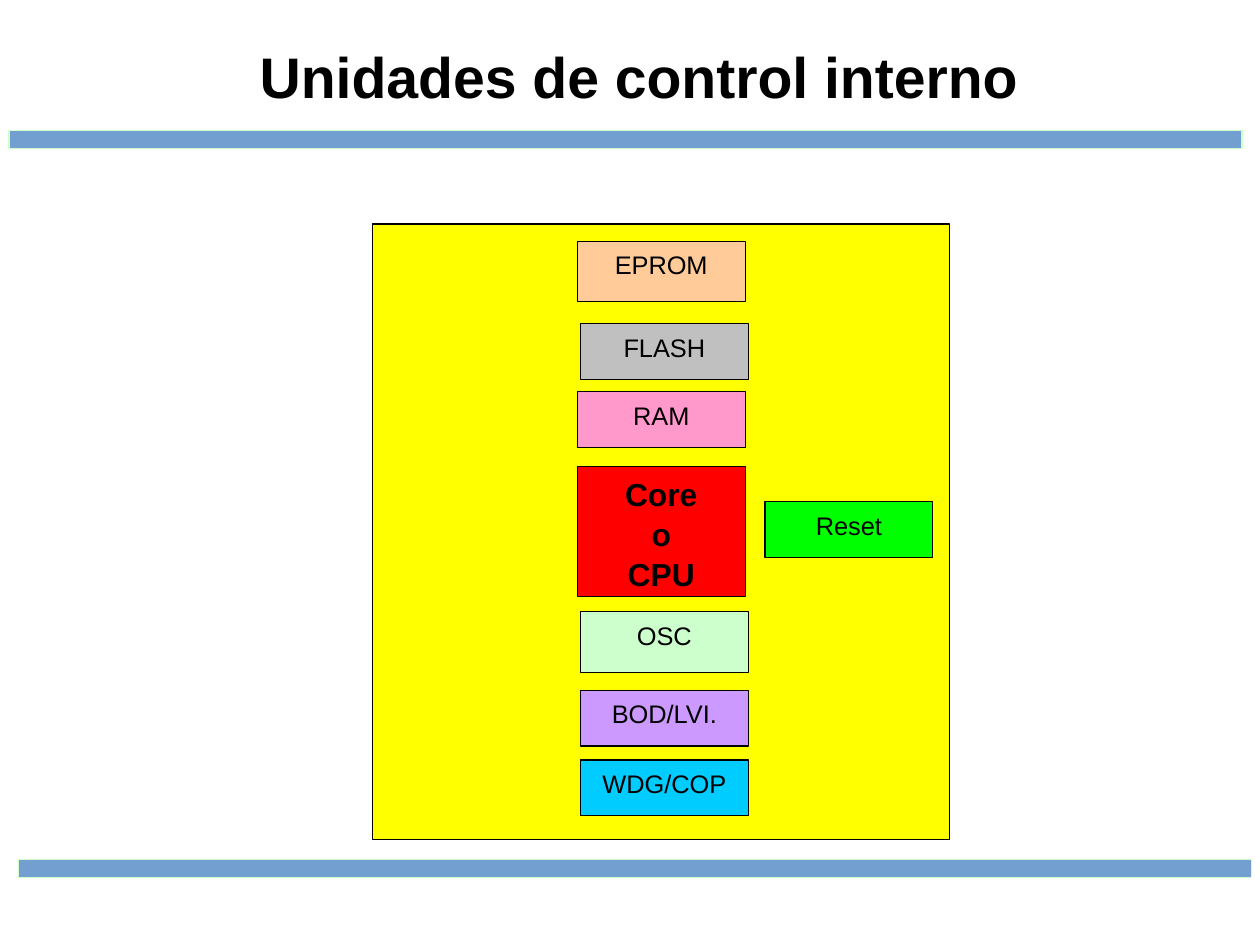
"""Builds the slide on internal control units of a microcontroller."""
from pptx import Presentation
from pptx.dml.color import RGBColor
from pptx.enum.shapes import MSO_SHAPE
from pptx.enum.text import MSO_ANCHOR, PP_ALIGN
from pptx.util import Cm, Pt


def add_run(p, text, size, bold):
    p.alignment = PP_ALIGN.CENTER
    r = p.add_run()
    r.text = text
    r.font.name = "Arial"
    r.font.size = Pt(size)
    r.font.bold = bold
    r.font.color.rgb = RGBColor.from_string("000000")


def add_box(s, kind, x, y, w, h, fill, line):
    sp = s.shapes.add_shape(kind, Cm(x), Cm(y), Cm(w), Cm(h))
    sp.shadow.inherit = False
    sp.fill.solid()
    sp.fill.fore_color.rgb = RGBColor.from_string(fill)
    sp.line.color.rgb = RGBColor.from_string(line)
    sp.line.width = Pt(0.75)
    return sp


prs = Presentation()
prs.slide_width, prs.slide_height = Cm(28), Cm(21)
s = prs.slides.add_slide(prs.slide_layouts[5])

title = s.shapes.title
title.left, title.top, title.width, title.height = Cm(1.85), Cm(0.58), Cm(24.7), Cm(2.2)
title.text_frame.vertical_anchor = MSO_ANCHOR.MIDDLE
add_run(title.text_frame.paragraphs[0], "Unidades de control interno", 36, True)

for x, y in [(0.2, 2.9), (0.41, 19.1)]:
    add_box(s, MSO_SHAPE.FLOWCHART_PROCESS, x, y, 27.4, 0.4, "729FCF", "CCFFCC")

add_box(s, MSO_SHAPE.RECTANGLE, 8.28, 4.98, 12.83, 13.67, "FFFF00", "000000")

units = [
    (["EPROM"], 12.83, 5.36, 1.35, "FFCC99", 16, False),
    (["FLASH"], 12.9, 7.19, 1.24, "C0C0C0", 16, False),
    (["RAM"], 12.83, 8.71, 1.24, "FF99CC", 16, False),
    (["Core", "o", "CPU"], 12.83, 10.36, 2.9, "FF0000", 20, True),
    (["OSC"], 12.9, 13.59, 1.35, "CCFFCC", 16, False),
    (["BOD/LVI."], 12.9, 15.34, 1.24, "CC99FF", 16, False),
    (["WDG/COP"], 12.9, 16.89, 1.24, "00CCFF", 16, False),
    (["Reset"], 17, 11.15, 1.24, "00FF00", 16, False),
]
for lines, x, y, h, fill, size, bold in units:
    sp = add_box(s, MSO_SHAPE.RECTANGLE, x, y, 3.73, h, fill, "000000")
    tf = sp.text_frame
    tf.word_wrap = True
    tf.vertical_anchor = MSO_ANCHOR.TOP
    tf.margin_left = tf.margin_right = Cm(0.25)
    tf.margin_top = tf.margin_bottom = Cm(0.15)
    for i, text in enumerate(lines):
        p = tf.add_paragraph() if i else tf.paragraphs[0]
        p.line_spacing = 1.05
        add_run(p, text, size, bold)

prs.save("out.pptx")
